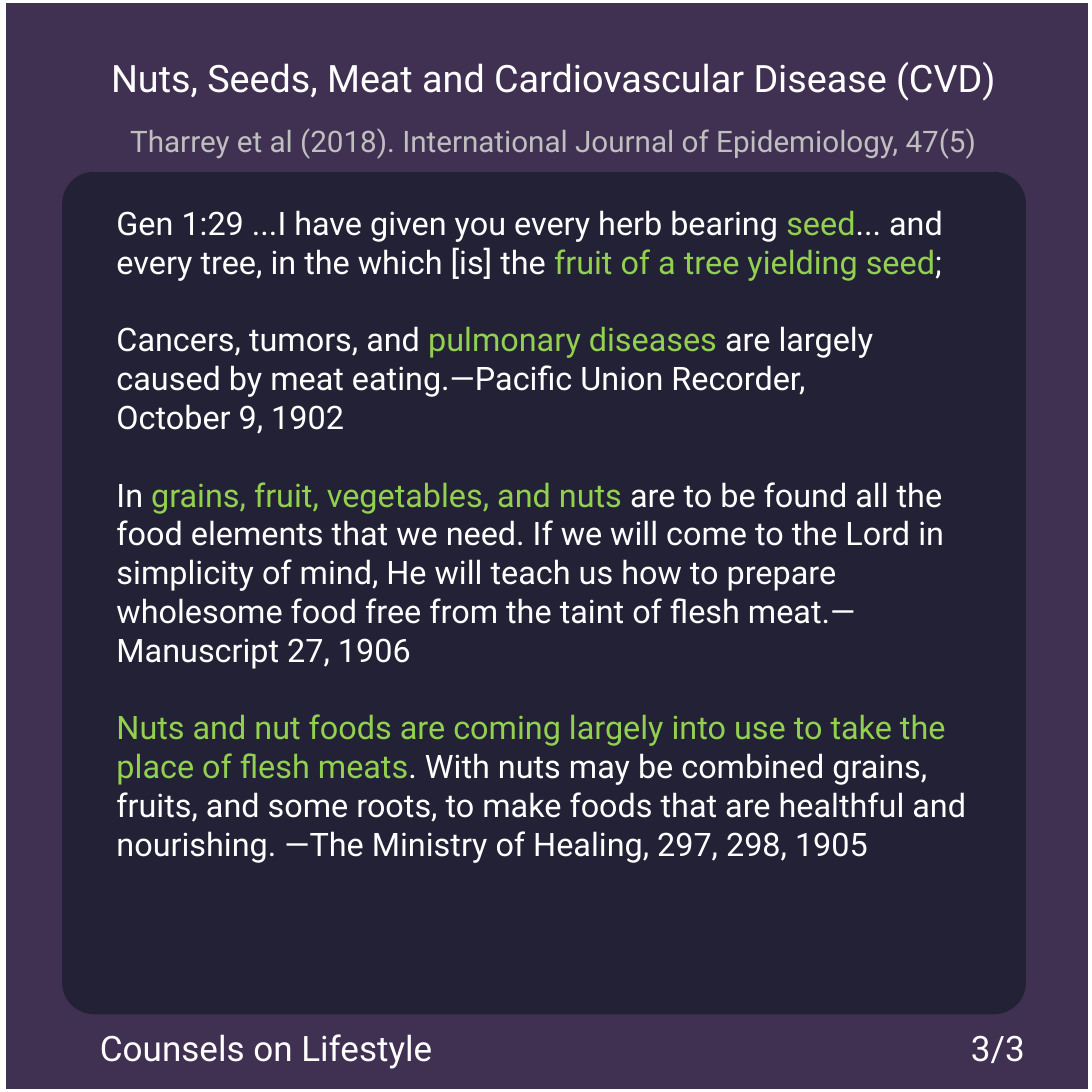
import pptx
import pptx.util
import pptx.dml.color
import pptx.enum.shapes
import pptx.enum.text
import pptx.oxml.ns
import lxml.etree

SIDE = 11.25
FONT = "Roboto"
COLORS = {"back": "403152", "panel": "232136", "text": "FFFFFF",
          "key": "92D050", "muted": "BFBFBF"}

TITLE = "Nuts, Seeds, Meat and Cardiovascular Disease (CVD)"
# Text, left, top, width, height, size, color
LABELS = [
    ("Tharrey et al (2018). International Journal of Epidemiology, 47(5)",
     -0.09, 0.78, 11.58, 0.86, 22, "muted"),
    ("3/3", 9.59, 10.15, 1.38, 0.86, 26, "text"),
    ("Counsels on Lifestyle", 0.55, 10.15, 4.39, 1.16, 26, "text"),
]
# Each quote is a list of paragraphs; bars enclose the key words
QUOTES = [
    ["Gen 1:29 ...I have given you every herb bearing |seed|... and every tree, "
     "in the which [is] the |fruit of a tree yielding seed|;"],
    ["Cancers, tumors, and |pulmonary diseases| are largely caused by meat "
     "eating.—Pacific Union Recorder,",
     "October 9, 1902"],
    ["In |grains, fruit, vegetables, and nuts| are to be found all the food "
     "elements that we need. If we will come to the Lord in simplicity of mind, "
     "He will teach us how to prepare wholesome food free from the taint of "
     "flesh meat.—Manuscript 27, 1906"],
    ["|Nuts and nut foods are coming largely into use to take the place of flesh "
     "meats|. With nuts may be combined grains, fruits, and some roots, to make "
     "foods that are healthful and nourishing. —The Ministry of Healing, 297, "
     "298, 1905"],
]
GAP = 28.8

Pt = pptx.util.Pt
Shape = pptx.enum.shapes.MSO_SHAPE
Align = pptx.enum.text.PP_ALIGN


def color(name):
    return pptx.dml.color.RGBColor.from_string(COLORS[name])


def inches(*vals):
    return [pptx.util.Inches(val) for val in vals]


def place(shape, *box):
    shape.left, shape.top, shape.width, shape.height = inches(*box)


def setup(frame, side=0, top=0):
    """Wrap text from the top of its frame, with the given insets."""
    frame.word_wrap = True
    frame.auto_size = pptx.enum.text.MSO_AUTO_SIZE.NONE
    frame.vertical_anchor = pptx.enum.text.MSO_ANCHOR.TOP
    frame.margin_left = frame.margin_right = pptx.util.Inches(side)
    frame.margin_top = frame.margin_bottom = pptx.util.Inches(top)


def style(para, size, tint):
    para.font.name = FONT
    para.font.size = Pt(size)
    para.font.color.rgb = color(tint)


def label(shape, text, size, tint):
    """Write one centred line of text."""
    setup(shape.text_frame)
    para = shape.text_frame.paragraphs[0]
    para.text = text
    para.alignment = Align.CENTER
    para.line_spacing = Pt(61.6)
    style(para, size, tint)


def quote(para, text, gap):
    para.alignment = Align.LEFT
    para.space_before = Pt(gap)
    style(para, 24, "text")
    props = para._p.get_or_add_pPr()
    props.set("marL", "0")
    props.set("indent", "0")
    none = lxml.etree.Element(pptx.oxml.ns.qn("a:buNone"))
    props.find(pptx.oxml.ns.qn("a:spcBef")).addnext(none)
    for num, part in enumerate(text.split("|")):
        if part:
            run = para.add_run()
            run.text = part
            run.font.color.rgb = color("key" if num % 2 else "text")


def main():
    deck = pptx.Presentation()
    deck.slide_width, deck.slide_height = inches(SIDE, SIDE)
    slide = deck.slides.add_slide(deck.slide_layouts[1])
    slide.background.fill.solid()
    slide.background.fill.fore_color.rgb = color("back")
    shapes = slide.shapes

    panel = shapes.add_shape(Shape.ROUNDED_RECTANGLE, *inches(0.64, 1.77, 9.93, 8.68))
    panel.adjustments[0] = 0.038
    panel.shadow.inherit = False
    panel.fill.solid()
    panel.fill.fore_color.rgb = color("panel")
    panel.line.fill.background()
    shapes._spTree.insert(2, panel._element)  # behind the placeholders

    place(shapes.title, -0.32, 0.18, 12.04, 0.86)
    label(shapes.title, TITLE, 28, "text")

    body = slide.placeholders[1]
    place(body, 1.1, 2.04, 9.09, 7.7)
    frame = body.text_frame
    setup(frame, 0.1, 0.05)
    lines = [(text, GAP if row and not num else 0)
             for row, group in enumerate(QUOTES) for num, text in enumerate(group)]
    for num, (text, gap) in enumerate(lines):
        quote(frame.add_paragraph() if num else frame.paragraphs[0], text, gap)

    border = shapes.add_shape(Shape.RECTANGLE, *inches(0.03, 0, 11.21, SIDE))
    border.shadow.inherit = False
    border.fill.background()
    border.line.color.rgb = color("text")
    border.line.width = Pt(4.5)

    for text, left, top, width, height, size, tint in LABELS:
        box = shapes.add_textbox(*inches(left, top, width, height))
        label(box, text, size, tint)

    deck.save("out.pptx")


if __name__ == "__main__":
    main()
